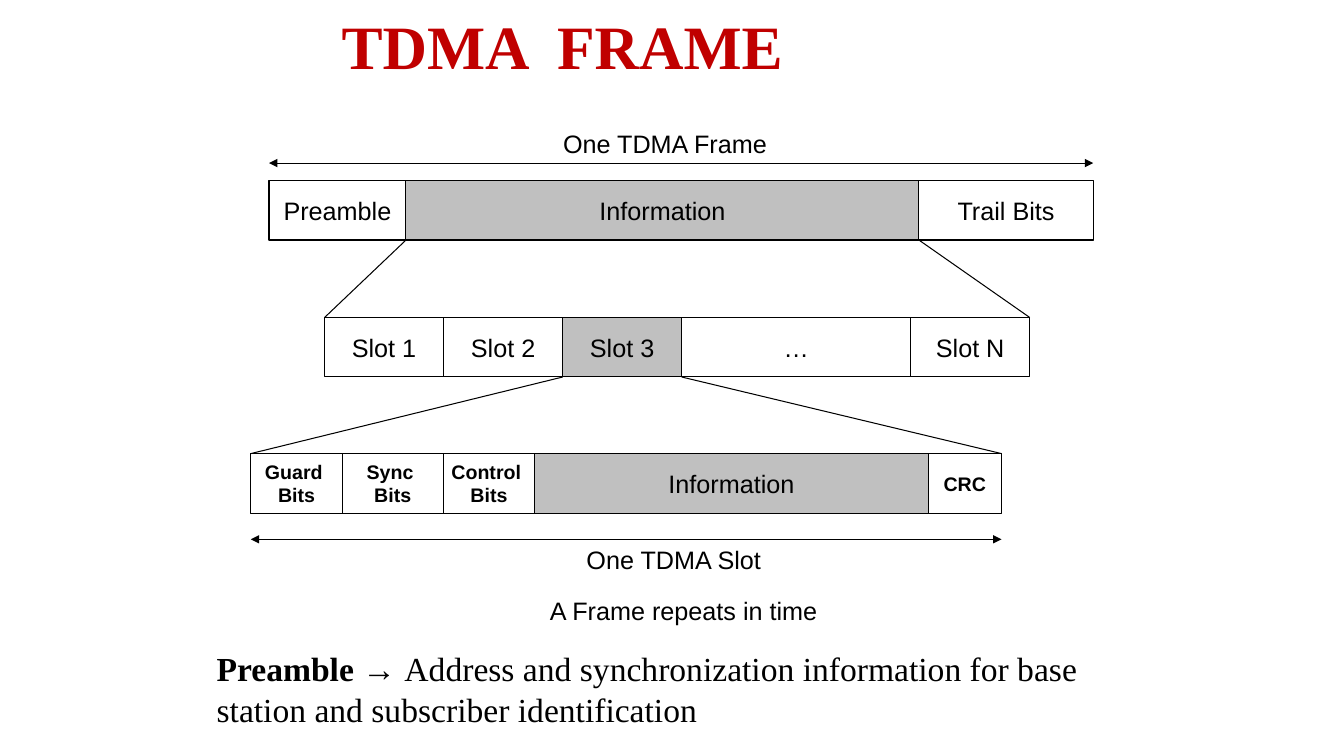
from lxml.etree import SubElement
from pptx import Presentation
from pptx.dml.color import RGBColor
from pptx.enum.shapes import MSO_CONNECTOR as Connector, MSO_SHAPE as Shape
from pptx.enum.text import MSO_ANCHOR as Anchor, PP_ALIGN as Align
from pptx.oxml.ns import qn
from pptx.util import Cm, Pt

COLOURS = {"title": "C00000", "ink": "000000", "highlight": "C0C0C0"}
SANS, SERIF = "Arial", "Times New Roman"
CELL_HEIGHT = 1.5


class FrameSlide:
    def __init__(self, presentation):
        self.slide = presentation.slides.add_slide(presentation.slide_layouts[6])
        self.line_width = Pt(0.75)

    def colour(self, name):
        return RGBColor.from_string(COLOURS[name])

    def style(self, paragraph, size, font=SANS, bold=None, colour="ink"):
        paragraph.font.name = font
        paragraph.font.size = Pt(size)
        paragraph.font.bold = bold
        paragraph.font.color.rgb = self.colour(colour)

    def text(self, left, top, width, height, text, size=18, wrap=False, **font):
        box = self.slide.shapes.add_textbox(Cm(left), Cm(top), Cm(width), Cm(height))
        box.text_frame.word_wrap = wrap
        paragraph = box.text_frame.paragraphs[0]
        paragraph.text = text
        self.style(paragraph, size, **font)
        return box

    def cell(self, left, top, width, text, small, highlighted):
        shape = self.slide.shapes.add_shape(
            Shape.RECTANGLE, Cm(left), Cm(top), Cm(width), Cm(CELL_HEIGHT))
        shape.shadow.inherit = False
        shape.line.color.rgb = self.colour("ink")
        shape.line.width = self.line_width
        if highlighted:
            shape.fill.solid()
            shape.fill.fore_color.rgb = self.colour("highlight")
        else:
            shape.fill.background()
        frame = shape.text_frame
        frame.word_wrap = False
        frame.vertical_anchor = Anchor.MIDDLE
        frame.text = text
        for paragraph in frame.paragraphs:
            paragraph.alignment = Align.CENTER
            self.style(paragraph, 14 if small else 18, bold=small)

    def row(self, left, top, cells, highlighted, small=()):
        """Draw adjoining cells and return the x of every cell edge."""
        edges = [left]
        for index, (text, width) in enumerate(cells):
            self.cell(edges[-1], top, width, text, index in small, index == highlighted)
            edges.append(edges[-1] + width)
        return edges

    def line(self, x1, y1, x2, y2, arrows=False):
        connector = self.slide.shapes.add_connector(
            Connector.STRAIGHT, Cm(x1), Cm(y1), Cm(x2), Cm(y2))
        connector.line.color.rgb = self.colour("ink")
        connector.line.width = self.line_width
        if arrows:
            for end in ("a:headEnd", "a:tailEnd"):
                SubElement(connector.line._get_or_add_ln(), qn(end), type="triangle")
        SubElement(connector._element.spPr, qn("a:effectLst"))

    def zoom(self, edges, index, top, lower_edges, lower_top):
        """Link one cell to the row that shows it in detail."""
        bottom = top + CELL_HEIGHT
        self.line(edges[index], bottom, lower_edges[0], lower_top)
        self.line(edges[index + 1], bottom, lower_edges[-1], lower_top)


def main():
    presentation = Presentation()
    presentation.slide_width, presentation.slide_height = Cm(33.87), Cm(19.05)
    page = FrameSlide(presentation)

    title = page.text(8.36, 0, 17.15, 2.49, "TDMA  FRAME", 44, wrap=True,
                      font=SERIF, bold=True, colour="title")
    title.text_frame.vertical_anchor = Anchor.MIDDLE
    title.text_frame.paragraphs[0].line_spacing = 0.9

    frame_top, slots_top, detail_top = 4.55, 8, 11.43
    frame = page.row(6.78, frame_top, [
        ("Preamble", 3.45), ("Information", 12.93), ("Trail Bits", 4.39)], highlighted=1)
    slots = page.row(8.18, slots_top, [
        ("Slot 1", 3), ("Slot 2", 3), ("Slot 3", 3), ("…", 5.77), ("Slot N", 3)],
        highlighted=2)
    detail = page.row(6.32, detail_top, [
        ("Guard \nBits", 2.31), ("Sync \nBits", 2.54), ("Control \nBits", 2.31),
        ("Information", 9.91), ("CRC", 1.85)], highlighted=3, small=(0, 1, 2, 4))
    page.zoom(frame, 1, frame_top, slots, slots_top)
    page.zoom(slots, 2, slots_top, detail, detail_top)

    for edges, y in ((frame, 4.11), (detail, 13.59)):
        page.line(edges[0], y, edges[-1], y, arrows=True)
    page.text(13.94, 3.12, 5.72, 1.02, "One TDMA Frame")
    page.text(14.53, 13.59, 4.95, 1.02, "One TDMA Slot")
    page.text(13.61, 14.88, 7.32, 1.02, "A Frame repeats in time")

    note = page.text(5.21, 16.21, 22.66, 2.8, "Preamble → ", 24, wrap=True, font=SERIF)
    paragraph = note.text_frame.paragraphs[0]
    paragraph.runs[0].font.bold = True
    paragraph.add_run().text = ("Address and synchronization information for base "
                                "station and subscriber identification")

    presentation.save("out.pptx")


if __name__ == "__main__":
    main()
